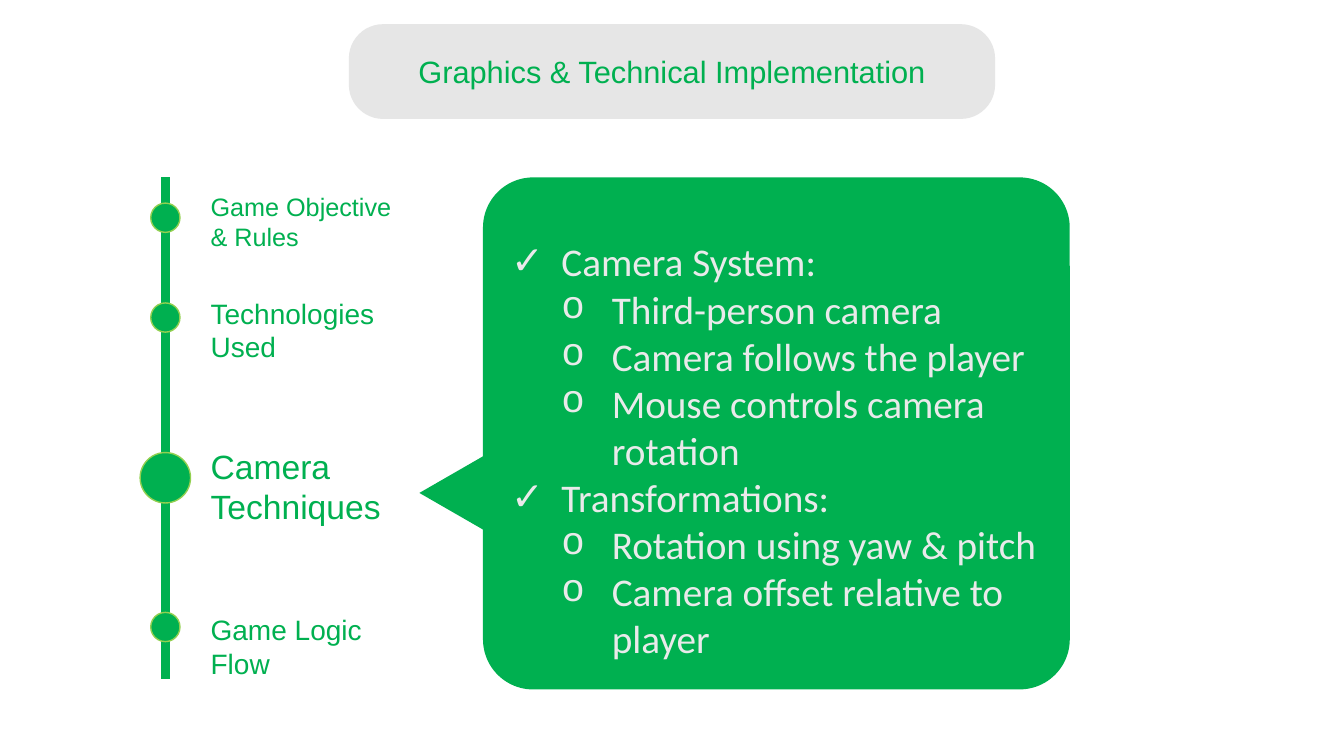
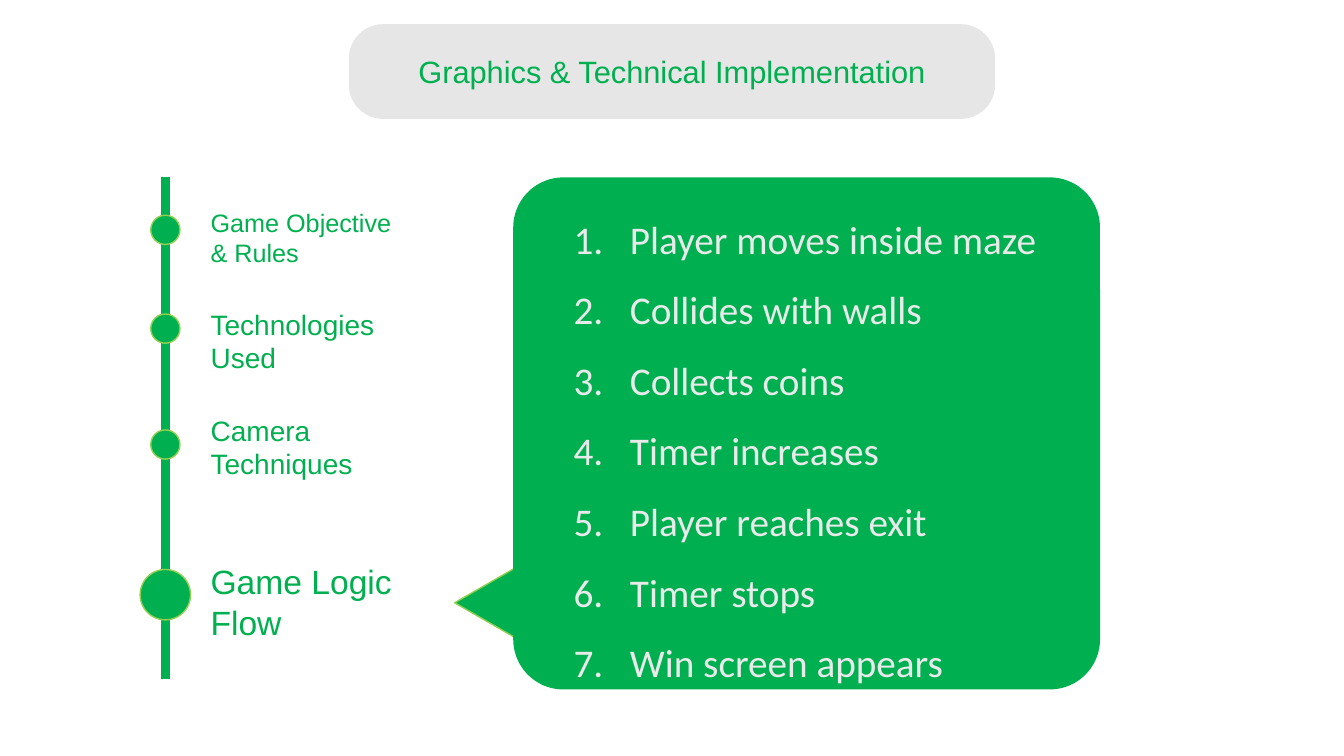
import lxml.etree
import pptx
import pptx.dml.color
import pptx.enum.shapes
import pptx.enum.text
import pptx.oxml.ns
import pptx.util

Inches = pptx.util.Inches
SHAPE = pptx.enum.shapes.MSO_SHAPE
ALIGN = pptx.enum.text.PP_ALIGN
ANCHOR = pptx.enum.text.MSO_ANCHOR
AUTO_SIZE = pptx.enum.text.MSO_AUTO_SIZE
qn = pptx.oxml.ns.qn

COLORS = {"green": "00B050", "lime": "92D050", "band": "D9D9D9", "pale": "E9EAEA"}
HEADING_FONT = "Arial"
BODY_FONT = "Calibri"
TITLE = "Graphics & Technical Implementation"
TITLE_BOX = (3.46, 0.24, 6.41, 0.94)
TRACK_BOX = (1.39, 1.76, 2.75, 4.98)
TRACK_X = 0.25
LABEL_X = 0.6
DOT, ACTIVE_DOT = 0.29, 0.5
ACTIVE_SIZE = 24
POINTER = (0.76, 0.66)
MARKERS = {"check": ("Arial", "✓"), "circle": ("Courier New", "o")}


def rgb(name):
    return pptx.dml.color.RGBColor.from_string(COLORS[name])


def add_bullet(p, marker, left, hanging):
    pPr = p._p.get_or_add_pPr()
    pPr.set("marL", str(Inches(left)))
    pPr.set("indent", str(-Inches(hanging)))
    if marker == "number":
        lxml.etree.SubElement(pPr, qn("a:buFont"), typeface=BODY_FONT)
        lxml.etree.SubElement(pPr, qn("a:buAutoNum"), type="arabicPeriod")
    else:
        font, char = MARKERS[marker]
        lxml.etree.SubElement(pPr, qn("a:buFont"), typeface=font)
        lxml.etree.SubElement(pPr, qn("a:buChar"), char=char)


def add_text(tf, text, size=20, font=HEADING_FONT, color="green",
             align=ALIGN.LEFT, spacing=1, marker=None, level=0, hanging=0.5):
    p = tf.paragraphs[0] if not tf.text else tf.add_paragraph()
    p.alignment, p.line_spacing, p.level = align, spacing, level
    if marker:
        add_bullet(p, marker, hanging * (level + 1), hanging)
    r = p.add_run()
    r.text = text
    r.font.size = pptx.util.Pt(size)
    r.font.name = font
    r.font.color.rgb = rgb(color)


def add_text_box(slide, box):
    tf = slide.shapes.add_textbox(*map(Inches, box)).text_frame
    tf.word_wrap = True
    tf.auto_size = AUTO_SIZE.SHAPE_TO_FIT_TEXT
    return tf


def add_shape(slide, kind, box, fill="green", line=None):
    sp = slide.shapes.add_shape(kind, *map(Inches, box))
    sp.shadow.inherit = False
    sp.fill.solid()
    sp.fill.fore_color.rgb = rgb(fill)
    if line:
        sp.line.color.rgb = rgb(line)
        sp.line.width = pptx.util.Pt(1)
    else:
        sp.line.fill.background()
    return sp


def add_title(slide, box):
    band = add_shape(slide, SHAPE.ROUNDED_RECTANGLE, box, fill="band")
    band.adjustments[0] = 0.362
    color = next(band._element.spPr.iter(qn("a:srgbClr")))
    lxml.etree.SubElement(color, qn("a:alpha"), val="65000")
    title = slide.shapes.title
    title.left, title.top, title.width, title.height = map(Inches, box)
    slide.shapes._spTree.append(title._element)
    tf = title.text_frame
    tf.word_wrap = True
    tf.auto_size = AUTO_SIZE.NONE
    tf.vertical_anchor = ANCHOR.MIDDLE
    add_text(tf, TITLE, size=22, align=ALIGN.CENTER)


def add_timeline(slide, box, milestones):
    left, top, width, height = box
    x = left + TRACK_X
    track = slide.shapes.add_connector(
        pptx.enum.shapes.MSO_CONNECTOR.STRAIGHT,
        *map(Inches, (x, top, x, top + height)))
    track.line.color.rgb = rgb("green")
    track.line.width = pptx.util.Pt(6)
    lxml.etree.SubElement(track._element.spPr, qn("a:effectLst"))
    for label, size, dot_y, label_y in milestones:
        d = ACTIVE_DOT if size == ACTIVE_SIZE else DOT
        add_shape(slide, SHAPE.OVAL, (x - d / 2, top + dot_y - d / 2, d, d), line="lime")
        tf = add_text_box(slide, (left + LABEL_X, top + label_y, width - LABEL_X, 0.77))
        add_text(tf, label, size=size)


def add_callout(slide, box, pointer_at, text_at, items, pointer_line=None, **style):
    left, top = box[:2]
    dx, dy = pointer_at
    pointer = add_shape(slide, SHAPE.ISOSCELES_TRIANGLE,
                        (left + dx, top + dy, *POINTER), line=pointer_line)
    pointer.rotation = 270
    panel = add_shape(slide, SHAPE.ROUNDED_RECTANGLE, box)
    panel.adjustments[0] = 0.098
    dx, dy, width, height = text_at
    tf = add_text_box(slide, (left + dx, top + dy, width, height))
    for text, marker, level in items:
        add_text(tf, text, size=28, font=BODY_FONT, color="pale",
                 marker=marker, level=level, **style)


def add_topic_slide(prs, milestones, callout):
    slide = prs.slides.add_slide(prs.slide_layouts[5])
    add_timeline(slide, TRACK_BOX, milestones)
    add_callout(slide, **callout)
    add_title(slide, TITLE_BOX)


CAMERA_MILESTONES = [
    ("Game Objective & Rules", 18, 0.4, 0.09),
    ("Technologies Used", 20, 1.39, 1.13),
    ("Camera Techniques", ACTIVE_SIZE, 2.98, 2.61),
    ("Game Logic Flow", 20, 4.46, 4.27),
]
CAMERA_CALLOUT = {
    "box": (4.79, 1.76, 5.82, 5.08),
    "pointer_at": (-0.68, 2.8),
    "text_at": (0.18, 0.55, 5.69, 4.34),
    "items": [
        ("Camera System:", "check", 0),
        ("Third-person camera", "circle", 1),
        ("Camera follows the player", "circle", 1),
        ("Mouse controls camera rotation", "circle", 1),
        ("Transformations:", "check", 0),
        ("Rotation using yaw & pitch", "circle", 1),
        ("Camera offset relative to player", "circle", 1),
    ],
}
FLOW_MILESTONES = [
    ("Game Objective & Rules", 18, 0.52, 0.25),
    ("Technologies Used", 20, 1.5, 1.24),
    ("Camera Techniques", 20, 2.65, 2.29),
    ("Game Logic Flow", ACTIVE_SIZE, 4.14, 3.76),
]
FLOW_STEPS = [
    "Player moves inside maze", "Collides with walls", "Collects coins",
    "Timer increases", "Player reaches exit", "Timer stops", "Win screen appears",
]
FLOW_CALLOUT = {
    "box": (5.09, 1.76, 5.82, 5.08),
    "pointer_at": (-0.63, 3.89),
    "text_at": (0.5, 0.09, 5.07, 4.98),
    "items": [(step, "number", 0) for step in FLOW_STEPS],
    "pointer_line": "lime",
    "spacing": 1.5,
    "hanging": 0.56,
}


def main():
    prs = pptx.Presentation()
    prs.slide_width, prs.slide_height = Inches(13.33), Inches(7.5)
    add_topic_slide(prs, CAMERA_MILESTONES, CAMERA_CALLOUT)
    add_topic_slide(prs, FLOW_MILESTONES, FLOW_CALLOUT)
    prs.save("out.pptx")


if __name__ == "__main__":
    main()
